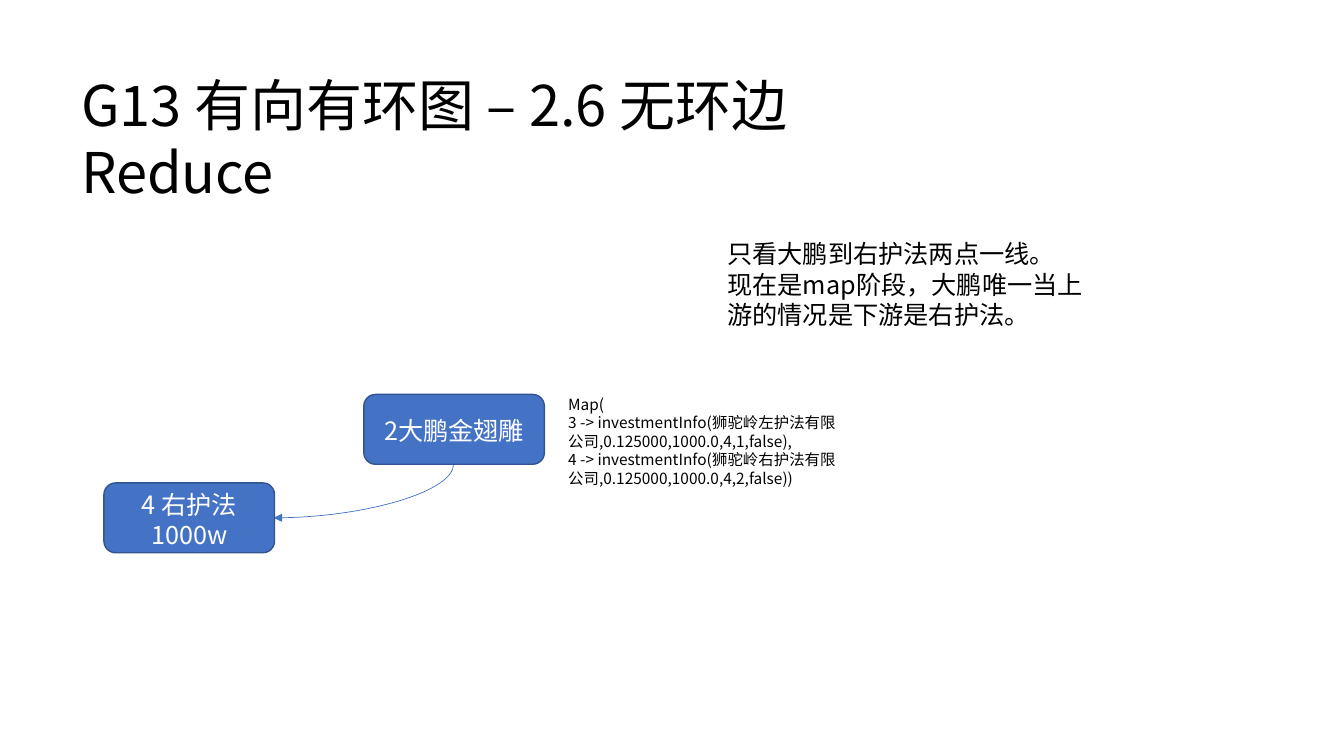
from lxml.etree import SubElement
from pptx import Presentation
from pptx.dml.color import RGBColor
from pptx.enum.shapes import MSO_CONNECTOR, MSO_SHAPE
from pptx.enum.text import MSO_ANCHOR, PP_ALIGN
from pptx.oxml.ns import qn
from pptx.util import Cm, Pt

FONT = "Noto Sans CJK SC"
BLUE, EDGE, BLACK, WHITE = "4472C4", "325491", "000000", "FFFFFF"


def color(code):
    return RGBColor.from_string(code)


def write(shape, lines, size, ink=BLACK, align=PP_ALIGN.LEFT,
          anchor=MSO_ANCHOR.TOP):
    frame = shape.text_frame
    frame.text = "\n".join(lines)
    frame.word_wrap = True
    frame.vertical_anchor = anchor
    frame.margin_left = frame.margin_right = Cm(0.25)
    frame.margin_top = Cm(0.13) + Pt(size * 0.1)
    frame.margin_bottom = Cm(0.13)
    for para in frame.paragraphs:
        para.alignment = align
        para.line_spacing = Pt(size * 1.2)
        para.space_before = Pt(0)
        font = para.font
        font.name, font.size = FONT, Pt(size)
        font.color.rgb = color(ink)
        # East Asian typeface
        props = para._p.pPr.find(qn("a:defRPr"))
        SubElement(props, qn("a:ea")).set("typeface", FONT)


def add_title(slide, text):
    title = slide.shapes.title
    title.left, title.top = Cm(1.8), Cm(1.5)
    title.width, title.height = Cm(23), Cm(3.7)
    write(title, [text], 40)


def add_note(slide, x, y, w, h, lines, size):
    box = slide.shapes.add_textbox(Cm(x), Cm(y), Cm(w), Cm(h))
    write(box, lines, size)


def add_node(slide, x, y, w, lines):
    node = slide.shapes.add_shape(
        MSO_SHAPE.ROUNDED_RECTANGLE, Cm(x), Cm(y), Cm(w), Cm(1.76))
    node.shadow.inherit = False
    node.fill.solid()
    node.fill.fore_color.rgb = color(BLUE)
    node.line.color.rgb = color(EDGE)
    node.line.width = Pt(1)
    write(node, lines, 18, WHITE, PP_ALIGN.CENTER, MSO_ANCHOR.MIDDLE)


def add_curve(slide, x1, y1, x2, y2):
    """Leave (x1, y1) downwards and reach (x2, y2) from the right."""
    # The frame is turned a quarter, so its width is the drop
    mid_x, mid_y = (x1 + x2) / 2, (y1 + y2) / 2
    drop, run = (y2 - y1) / 2, (x1 - x2) / 2
    curve = slide.shapes.add_connector(
        MSO_CONNECTOR.CURVE, Cm(mid_x - drop), Cm(mid_y - run),
        Cm(mid_x + drop), Cm(mid_y + run))
    curve.line.color.rgb = color(BLUE)
    curve.line.width = Pt(0.5)
    props = curve._element.spPr
    props.find(qn("a:xfrm")).set("rot", "5400000")
    props.find(qn("a:prstGeom")).set("prst", "curvedConnector2")
    SubElement(props.find(qn("a:ln")), qn("a:tailEnd")).set("type", "triangle")
    SubElement(props, qn("a:effectLst"))


def main():
    deck = Presentation()
    deck.slide_width, deck.slide_height = Cm(33.87), Cm(19.05)
    slide = deck.slides.add_slide(deck.slide_layouts[5])

    # Heading and remark
    add_title(slide, "G13 有向有环图 – 2.6 无环边Reduce")
    add_note(slide, 18.08, 5.82, 9.53, 2.57, [
        "只看大鹏到右护法两点一线。",
        "现在是map阶段，大鹏唯一当上游的情况是下游是右护法。"], 18)

    # Graph: one edge between two nodes
    add_curve(slide, 11.43, 11.7, 6.9, 13.05)
    add_node(slide, 2.62, 12.17, 4.3, ["4 右护法", "1000w"])
    add_node(slide, 9.17, 9.94, 4.55, ["2大鹏金翅雕"])

    # Map held by the upper node
    add_note(slide, 14.07, 9.78, 7.49, 2.62, [
        "Map(",
        "3 -> investmentInfo(狮驼岭左护法有限公司,0.125000,1000.0,4,1,false),",
        "4 -> investmentInfo(狮驼岭右护法有限公司,0.125000,1000.0,4,2,false))",
    ], 11)

    deck.save("out.pptx")


if __name__ == "__main__":
    main()
